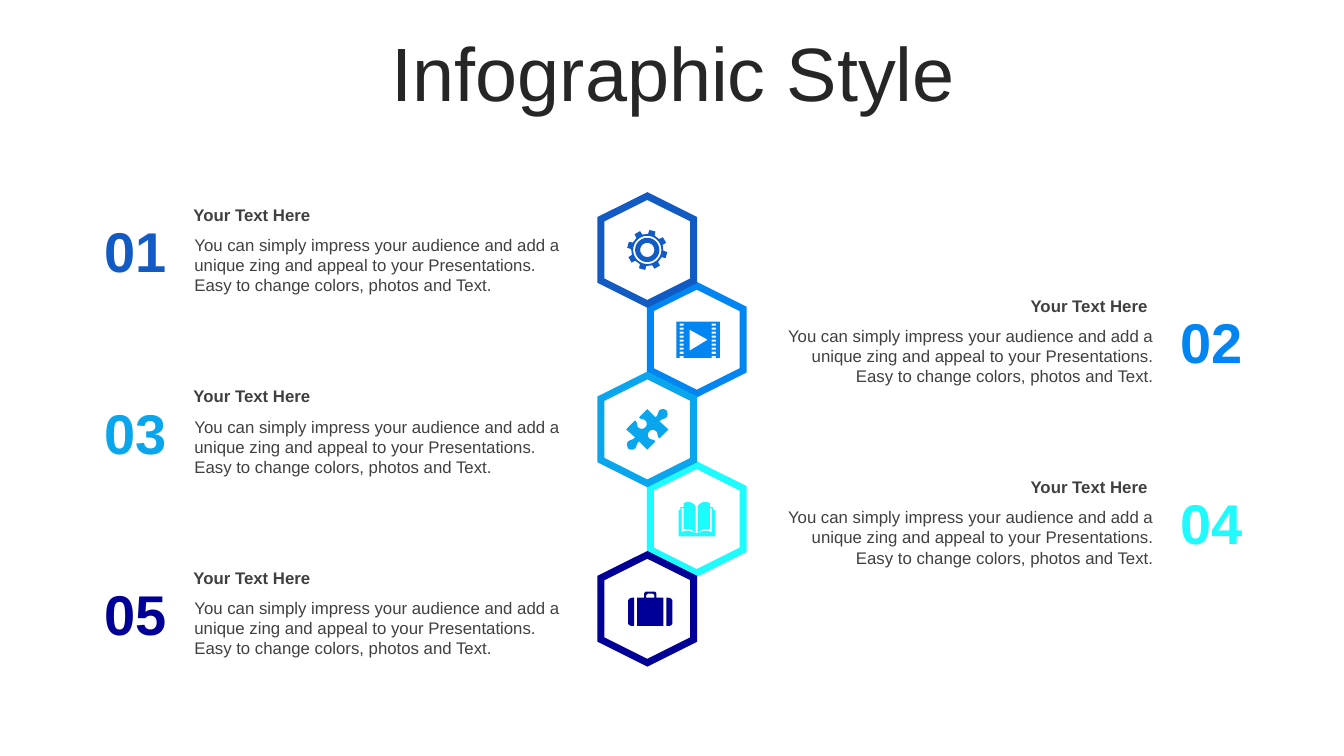
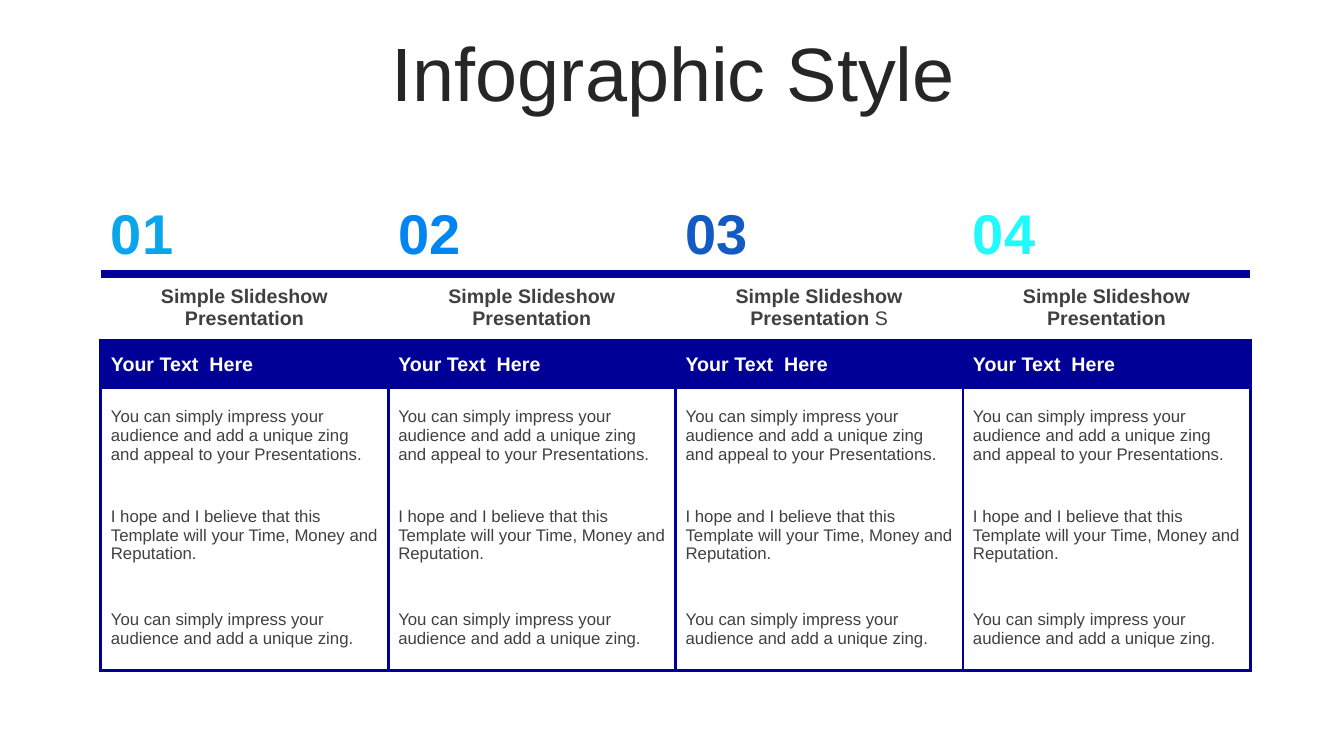
"""Build two infographic slides: a hexagon chain and a four-column table."""
import math

import lxml.etree
import pptx
import pptx.dml.color
import pptx.enum.shapes
import pptx.enum.text
import pptx.oxml.ns
import pptx.util

Inches = pptx.util.Inches
Pt = pptx.util.Pt
ALIGN = pptx.enum.text.PP_ALIGN
MIDDLE = pptx.enum.text.MSO_ANCHOR.MIDDLE
FONT = "Arial"
COLORS = {
    "title": "262626", "text": "404040", "white": "FFFFFF", "navy": "000096",
    "blue": "125AC4", "azure": "0085F2", "sky": "0AA6ED", "cyan": "1FFBFD",
}
HEADING = "Your Text Here"
DESCRIPTION = ("You can simply impress your audience and add a unique zing and appeal "
               "to your Presentations. Easy to change colors, photos and Text.")
STEP_COLORS = ["blue", "azure", "sky", "cyan", "navy"]
COLUMN_COLORS = ["sky", "azure", "blue", "cyan"]
COLUMN_WIDTH = 2.85
TABLE_TEXTS = [
    "Simple Slideshow Presentation",
    "Your Text  Here",
    "You can simply impress your audience and add a unique zing and appeal to your Presentations.",
    "I hope and I believe that this Template will your Time, Money and Reputation.",
    "You can simply impress your audience and add a unique zing.",
]
ROW_HEIGHTS = [0.77, 0.66, 0.48, 0.92, 1.06, 0.81]
ROW_STYLES = [(40, True, None), (14, True, "text"), (14, True, "white")] + [(12, False, "text")] * 3


def rgb(name):
    """Return the named palette colour."""
    return pptx.dml.color.RGBColor.from_string(COLORS[name])


def format_paragraph(paragraph, size, color, bold=False, align=ALIGN.LEFT):
    """Align a paragraph and format all its runs."""
    paragraph.alignment = align
    for run in paragraph.runs:
        run.font.name = FONT
        run.font.size = Pt(size)
        run.font.bold = bold
        run.font.color.rgb = rgb(color)


def add_slide(presentation, title):
    """Add a slide with the shared title style."""
    slide = presentation.slides.add_slide(presentation.slide_layouts[5])
    shape = slide.shapes.title
    shape.left, shape.top = Inches(0.35), Inches(0.37)
    shape.width, shape.height = Inches(12.66), Inches(0.79)
    frame = shape.text_frame
    frame.text = title
    frame.word_wrap = True
    frame.auto_size = pptx.enum.text.MSO_AUTO_SIZE.NONE
    frame.vertical_anchor = MIDDLE
    frame.paragraphs[0].line_spacing = 0.9
    format_paragraph(frame.paragraphs[0], 54, "title", align=ALIGN.CENTER)
    return slide


def add_text(slide, box, text, size, color, bold=False, align=ALIGN.LEFT):
    """Add a wrapping text box at box (left, top, width, height)."""
    frame = slide.shapes.add_textbox(*map(Inches, box)).text_frame
    frame.text = text
    frame.word_wrap = True
    frame.auto_size = pptx.enum.text.MSO_AUTO_SIZE.SHAPE_TO_FIT_TEXT
    format_paragraph(frame.paragraphs[0], size, color, bold, align)


def add_hexagon(slide, x, y, color):
    """Add an upright outlined hexagon centred at x, y."""
    width, height = 1.07, 0.92
    shape = slide.shapes.add_shape(
        pptx.enum.shapes.MSO_SHAPE.HEXAGON, Inches(x - width / 2), Inches(y - height / 2),
        Inches(width), Inches(height))
    shape.rotation = 90
    shape.shadow.inherit = False
    shape.fill.solid()
    shape.fill.fore_color.rgb = rgb("white")
    shape.line.color.rgb = rgb(color)
    shape.line.width = Pt(5)
    line = shape.line.fill._xPr
    lxml.etree.SubElement(line, pptx.oxml.ns.qn("a:miter"), lim="800000")


def add_icon(slide, x, y, contours, color):
    """Add a filled freeform whose contours are offsets in inches from x, y."""
    builder = None
    for contour in contours:
        points = [(Inches(x + dx), Inches(y + dy)) for dx, dy in contour]
        if builder is None:
            builder = slide.shapes.build_freeform(*points[0])
        else:
            builder.move_to(*points[0])
        builder.add_line_segments(points[1:], close=True)
    shape = builder.convert_to_shape()
    shape.shadow.inherit = False
    shape.fill.solid()
    shape.fill.fore_color.rgb = rgb(color)
    shape.line.fill.background()


def trace(*segments):
    """Turn points and cubic curves (six numbers) into a list of points."""
    points = []
    for segment in segments:
        if len(segment) == 2:
            points.append(segment)
            continue
        controls = [points[-1], segment[:2], segment[2:4], segment[4:]]
        for t in (0.2, 0.4, 0.6, 0.8, 1):
            weights = [math.comb(3, k) * t ** k * (1 - t) ** (3 - k) for k in range(4)]
            points.append(tuple(sum(weight * control[axis] for weight, control in zip(weights, controls))
                                for axis in (0, 1)))
    return points


def mirror(contour, vertical=1):
    """Mirror a contour left to right, and top to bottom when vertical is -1."""
    return [(-x, y * vertical) for x, y in contour]


def rectangle(left, top, width, height):
    """Return the corners of a rectangle."""
    return [(left, top), (left + width, top), (left + width, top + height), (left, top + height)]


def polar(radius, degrees):
    """Return the point at a radius and angle."""
    angle = math.radians(degrees)
    return radius * math.cos(angle), radius * math.sin(angle)


def gear_icon():
    """Return an eight-toothed gear with rings."""
    tooth = [(0.2, -9), (0.2, 9), (0.16, 12), (0.16, 33)]
    wheel = [polar(radius, 15 + 45 * k + angle) for k in range(8) for radius, angle in tooth]
    rings = [[polar(radius, angle) for angle in range(0, 360, 10)] for radius in (0.14, 0.12, 0.07)]
    return [wheel] + rings


def film_icon():
    """Return a film strip with perforations and a play sign."""
    holes = [rectangle(left, -0.16 + 0.04 * k, 0.04, 0.02) for left in (-0.18, 0.14) for k in range(9)]
    return [rectangle(-0.21, -0.18, 0.43, 0.36), [(-0.08, -0.1), (-0.08, 0.11), (0.1, 0)]] + holes


def puzzle_icon():
    """Return a puzzle piece made of one half and its point reflection."""
    half = trace(
        (0.19, -0.19), (0.2, -0.17, 0.21, -0.14, 0.19, -0.12),
        (0.17, -0.1, 0.15, -0.11, 0.12, -0.08), (0.21, 0), (0.12, 0.09),
        (0.09, 0.06, 0.11, 0.04, 0.09, 0.02), (0.07, 0, 0.04, 0, 0.02, 0.02),
        (0, 0.04, 0, 0.07, 0.02, 0.09), (0.05, 0.11, 0.06, 0.09, 0.08, 0.12), (0, 0.2),
        (-0.08, 0.12), (-0.11, 0.14, -0.1, 0.16, -0.12, 0.19), (-0.15, 0.21, -0.17, 0.2, -0.19, 0.19))
    return [half + mirror(half, -1)]


def book_icon():
    """Return an open book made of mirrored halves."""
    cover = trace(
        (-0.13, -0.16), (-0.08, -0.18, -0.04, -0.17, -0.01, -0.13), (-0.01, 0.14), (0, 0.14),
        (0, 0.17), (-0.18, 0.17), (-0.18, -0.09), (-0.16, -0.09), (-0.16, -0.12), (-0.13, -0.12))
    gap = trace(
        (-0.13, -0.11), (-0.15, -0.11), (-0.15, 0.13), (-0.09, 0.1, -0.06, 0.12, -0.01, 0.14),
        (-0.04, 0.1, -0.09, 0.09, -0.13, 0.1))
    return [cover, gap, mirror(cover), mirror(gap)]


def suitcase_icon():
    """Return a suitcase with a handle and two side pieces."""
    side = trace((0.16, -0.11), (0.18, -0.11), (0.2, -0.11, 0.22, -0.09, 0.22, -0.08),
                 (0.22, 0.14), (0.22, 0.16, 0.2, 0.17, 0.18, 0.17), (0.16, 0.17))
    half = trace((0, -0.17), (0.04, -0.17), (0.05, -0.17, 0.06, -0.16, 0.06, -0.15),
                 (0.06, -0.11), (0.13, -0.11), (0.13, 0.17), (0, 0.17))
    opening = trace((0, -0.15), (0.02, -0.15), (0.03, -0.15, 0.04, -0.14, 0.04, -0.13),
                    (0.04, -0.11), (0, -0.11))
    centred = [part + mirror(part)[::-1] for part in (half, opening)]
    return [side, mirror(side)] + centred


def add_step(slide, index, color):
    """Add the number, heading and description beside a hexagon."""
    shift = 0.9 * index
    on_right = index % 2 == 1
    number_left, text_left = (11.6, 7.57) if on_right else (0.93, 1.83)
    heading_width = 3.92 if on_right else 3.94
    align = ALIGN.RIGHT if on_right else ALIGN.LEFT
    add_text(slide, (number_left, 2.1 + shift, 0.83, 0.77), f"{index + 1:02}", 40, color, True, ALIGN.CENTER)
    add_text(slide, (text_left, 2.28 + shift, 3.97, 0.71), DESCRIPTION, 12, "text", align=align)
    add_text(slide, (text_left - 0.01, 1.98 + shift, heading_width, 0.3), HEADING, 12, "text", True, align)


def set_borders(cell, borders):
    """Draw the given sides (colour, width) of a cell and clear the others."""
    properties = cell._tc.get_or_add_tcPr()
    for position, side in enumerate("LRTB"):
        line = lxml.etree.Element(pptx.oxml.ns.qn(f"a:ln{side}"))
        if side in borders:
            color, width = borders[side]
            line.set("w", str(Pt(width)))
            fill = lxml.etree.SubElement(line, pptx.oxml.ns.qn("a:solidFill"))
            lxml.etree.SubElement(fill, pptx.oxml.ns.qn("a:srgbClr"), val=COLORS[color])
        else:
            lxml.etree.SubElement(line, pptx.oxml.ns.qn("a:noFill"))
        properties.insert(position, line)


def row_borders(row):
    """Return the borders of the cells in a table row."""
    thick, thin = ("navy", 6), ("navy", 2.25)
    borders = [{"B": thick}, {"T": thick, "B": thin}, {"L": thin, "R": thin, "T": thin}]
    body = {"L": thin, "R": thin}
    return (borders + [body, body, {**body, "B": thin}])[row]


def add_table(slide):
    """Add the numbered four-column table."""
    column_count = len(COLUMN_COLORS)
    table = slide.shapes.add_table(
        len(ROW_HEIGHTS), column_count, Inches(1), Inches(1.95),
        Inches(COLUMN_WIDTH * column_count), Inches(sum(ROW_HEIGHTS))).table
    table.first_row = table.horz_banding = False
    for column in table.columns:
        column.width = Inches(COLUMN_WIDTH)
    for row, height in enumerate(ROW_HEIGHTS):
        table.rows[row].height = Inches(height)
        size, bold, color = ROW_STYLES[row]
        for column, number_color in enumerate(COLUMN_COLORS):
            cell = table.cell(row, column)
            cell.vertical_anchor = MIDDLE
            cell.fill.solid()
            cell.fill.fore_color.rgb = rgb("navy" if row == 2 else "white")
            set_borders(cell, row_borders(row))
            paragraph = cell.text_frame.paragraphs[0]
            paragraph.text = TABLE_TEXTS[row - 1] if row else f"{column + 1:02}"
            format_paragraph(paragraph, size, color or number_color, bold,
                             ALIGN.CENTER if row == 1 else ALIGN.LEFT)
    paragraph = table.cell(1, 2).text_frame.paragraphs[0]
    paragraph.add_run().text = " S"
    format_paragraph(paragraph, 14, "text", True, ALIGN.CENTER)
    paragraph.runs[-1].font.bold = False


def add_hexagon_slide(presentation):
    """Add the slide with five linked hexagons."""
    slide = add_slide(presentation, "Infographic Style")
    centers = [(6.91 if k % 2 else 6.42, 2.48 + 0.89 * k) for k in range(len(STEP_COLORS))]
    for index in (3, 1, 2, 0, 4):
        add_hexagon(slide, *centers[index], STEP_COLORS[index])
    for index, color in enumerate(STEP_COLORS):
        add_step(slide, index, color)
    icons = [gear_icon(), film_icon(), puzzle_icon(), book_icon(), suitcase_icon()]
    nudges = [0, 0.01, 0, 0, 0.03]
    for (x, y), icon, nudge, color in zip(centers, icons, nudges, STEP_COLORS):
        add_icon(slide, x + nudge, y, icon, color)


def main():
    """Build and save the presentation."""
    presentation = pptx.Presentation()
    presentation.slide_width, presentation.slide_height = Inches(13.33), Inches(7.5)
    add_hexagon_slide(presentation)
    add_table(add_slide(presentation, "Infographic Style"))
    presentation.save("out.pptx")


if __name__ == "__main__":
    main()
